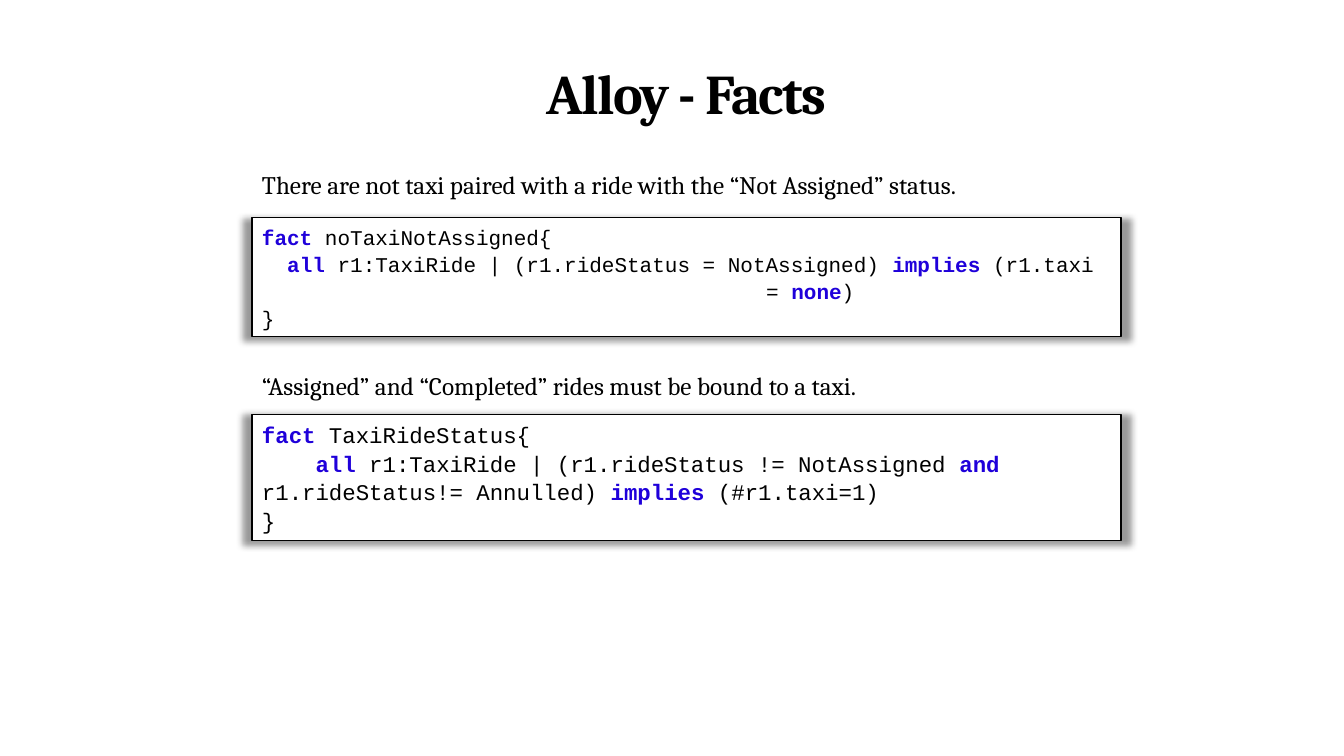
from dataclasses import dataclass

from lxml.etree import SubElement
from pptx import Presentation
from pptx.dml.color import RGBColor
from pptx.enum.shapes import MSO_SHAPE
from pptx.enum.text import MSO_ANCHOR, MSO_AUTO_SIZE, PP_ALIGN
from pptx.oxml.ns import qn
from pptx.util import Inches, Pt

TITLE = "Alloy - Facts"
KEYWORDS = {"fact", "all", "implies", "and", "none"}

# Each code line is a list of spans; spans found in KEYWORDS are highlighted.
FACTS = [
    {
        "caption": "There are not taxi paired with a ride with the “Not Assigned” status.",
        "caption_top": 1.63,
        "code_top": 2.16,
        "code_height": 1.18,
        "code_size": 15,
        "code": [
            ["fact", " noTaxiNotAssigned{"],
            ["  ", "all", " r1:TaxiRide | (r1.rideStatus = NotAssigned) ", "implies",
             " (r1.taxi \t\t\t\t\t\t\t= ", "none", ")"],
            ["}"],
        ],
    },
    {
        "caption": "“Assigned” and “Completed” rides must be bound to a taxi.",
        "caption_top": 3.62,
        "code_top": 4.11,
        "code_height": 1.25,
        "code_size": 16,
        "code": [
            ["fact", " TaxiRideStatus{"],
            ["    ", "all", " r1:TaxiRide | (r1.rideStatus != NotAssigned ", "and",
             " \t\t\tr1.rideStatus!= Annulled) ", "implies", " (#r1.taxi=1)"],
            ["}"],
        ],
    },
]

LEFT, WIDTH = Inches(2.5), Inches(8.62)
CAPTION_HEIGHT = Inches(0.4)


@dataclass(frozen=True)
class Theme:
    text_font: str = "Cambria"
    code_font: str = "Courier New"
    ink: RGBColor = RGBColor(0, 0, 0)
    paper: RGBColor = RGBColor(255, 255, 255)
    keyword: RGBColor = RGBColor(0x1F, 0x00, 0xDA)
    title_size: int = 40
    caption_size: int = 18


THEME = Theme()


def add_span(para, text, font, size, color=THEME.ink, bold=False):
    span = para.add_run()
    span.text = text
    span.font.name = font
    span.font.size = Pt(size)
    span.font.color.rgb = color
    span.font.bold = bold
    return span


def add_soft_shadow(box):
    """Give the box a blurred shadow slightly larger than itself."""
    box.shadow.inherit = False
    effects = box._element.spPr.find(qn("a:effectLst"))
    shadow = SubElement(effects, qn("a:outerShdw"), blurRad="63500", dist="19050",
                        dir="5400000", sx="102000", sy="102000", algn="ctr",
                        rotWithShape="0")
    black = SubElement(shadow, qn("a:prstClr"), val="black")
    SubElement(black, qn("a:alpha"), val="40000")


def add_title(page):
    title = page.shapes.title
    title.left, title.top, title.width, title.height = (
        LEFT, Inches(0.61), WIDTH, Inches(1.12))
    frame = title.text_frame
    frame.auto_size = MSO_AUTO_SIZE.NONE
    frame.vertical_anchor = MSO_ANCHOR.TOP
    para = frame.paragraphs[0]
    para.alignment = PP_ALIGN.CENTER
    para.line_spacing = 0.9
    span = add_span(para, TITLE, THEME.text_font, THEME.title_size, bold=True)
    span.font._element.set("spc", "-110")


def add_caption(page, fact):
    box = page.shapes.add_textbox(LEFT, Inches(fact["caption_top"]), WIDTH, CAPTION_HEIGHT)
    box.text_frame.word_wrap = True
    add_span(box.text_frame.paragraphs[0], fact["caption"],
             THEME.text_font, THEME.caption_size)


def add_code(page, fact):
    box = page.shapes.add_shape(MSO_SHAPE.RECTANGLE, LEFT, Inches(fact["code_top"]),
                                WIDTH, Inches(fact["code_height"]))
    box.fill.solid()
    box.fill.fore_color.rgb = THEME.paper
    box.line.color.rgb = THEME.ink
    box.line.width = Pt(1)
    add_soft_shadow(box)
    frame = box.text_frame
    frame.word_wrap = True
    frame.vertical_anchor = MSO_ANCHOR.TOP
    for index, line in enumerate(fact["code"]):
        para = frame.add_paragraph() if index else frame.paragraphs[0]
        para.alignment = PP_ALIGN.LEFT
        para.line_spacing = 1.07
        para._p.get_or_add_pPr().set("defTabSz", str(Inches(1)))
        for text in line:
            is_keyword = text in KEYWORDS
            add_span(para, text, THEME.code_font, fact["code_size"],
                     THEME.keyword if is_keyword else THEME.ink, is_keyword)


def main():
    deck = Presentation()
    deck.slide_width, deck.slide_height = Inches(13.33), Inches(7.5)
    page = deck.slides.add_slide(deck.slide_layouts[5])
    add_title(page)
    for fact in FACTS:
        add_caption(page, fact)
        add_code(page, fact)
    deck.save("out.pptx")


if __name__ == "__main__":
    main()
